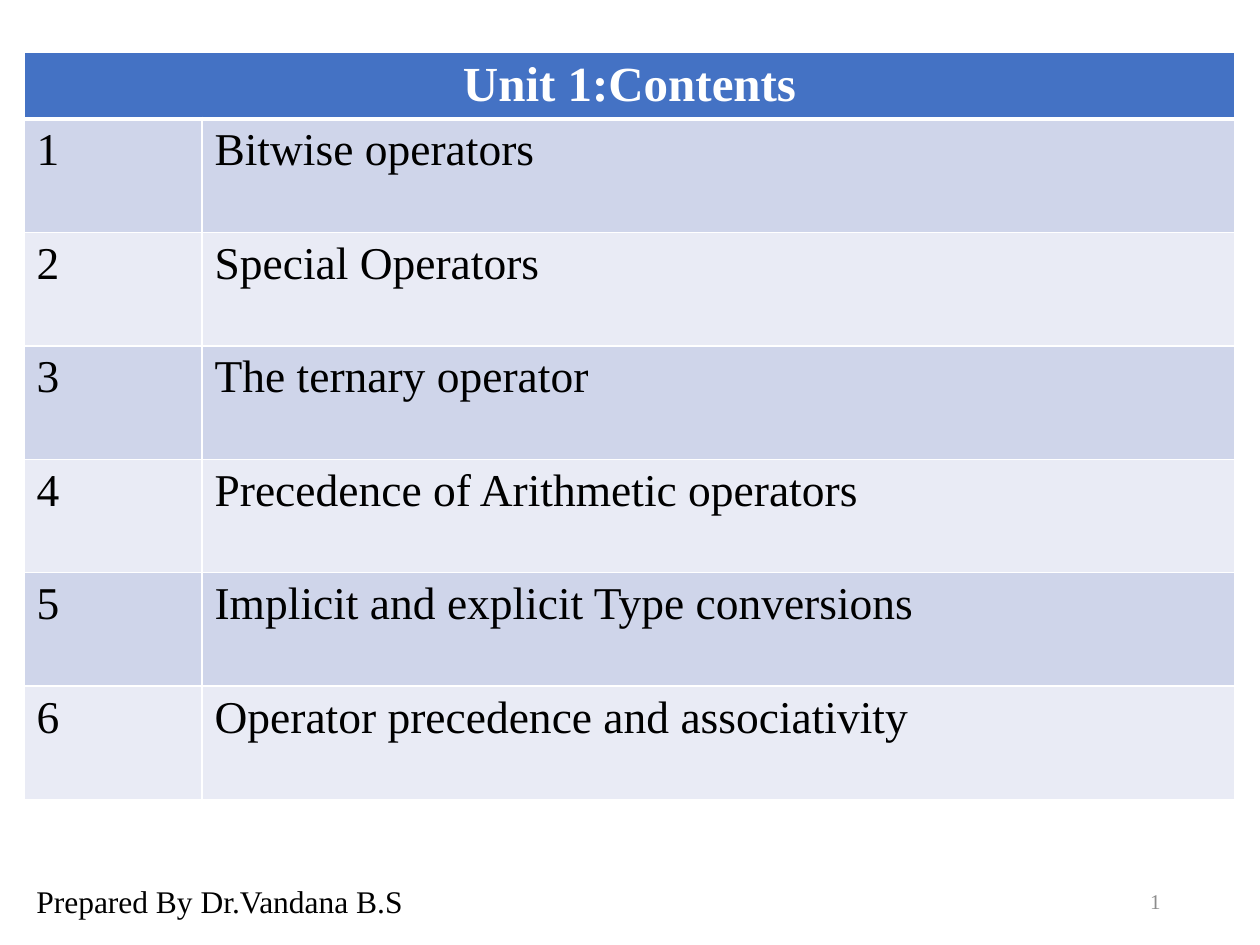
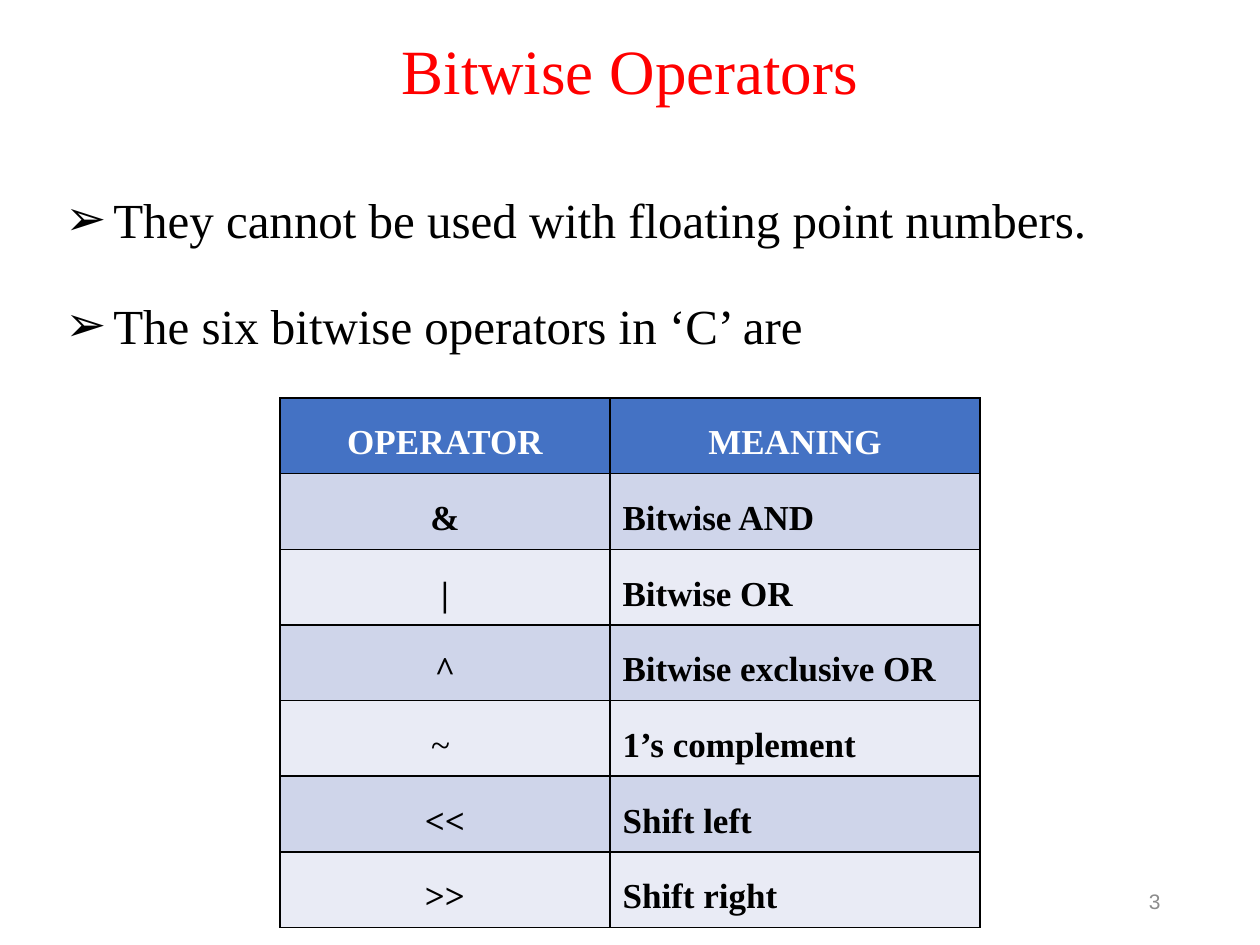
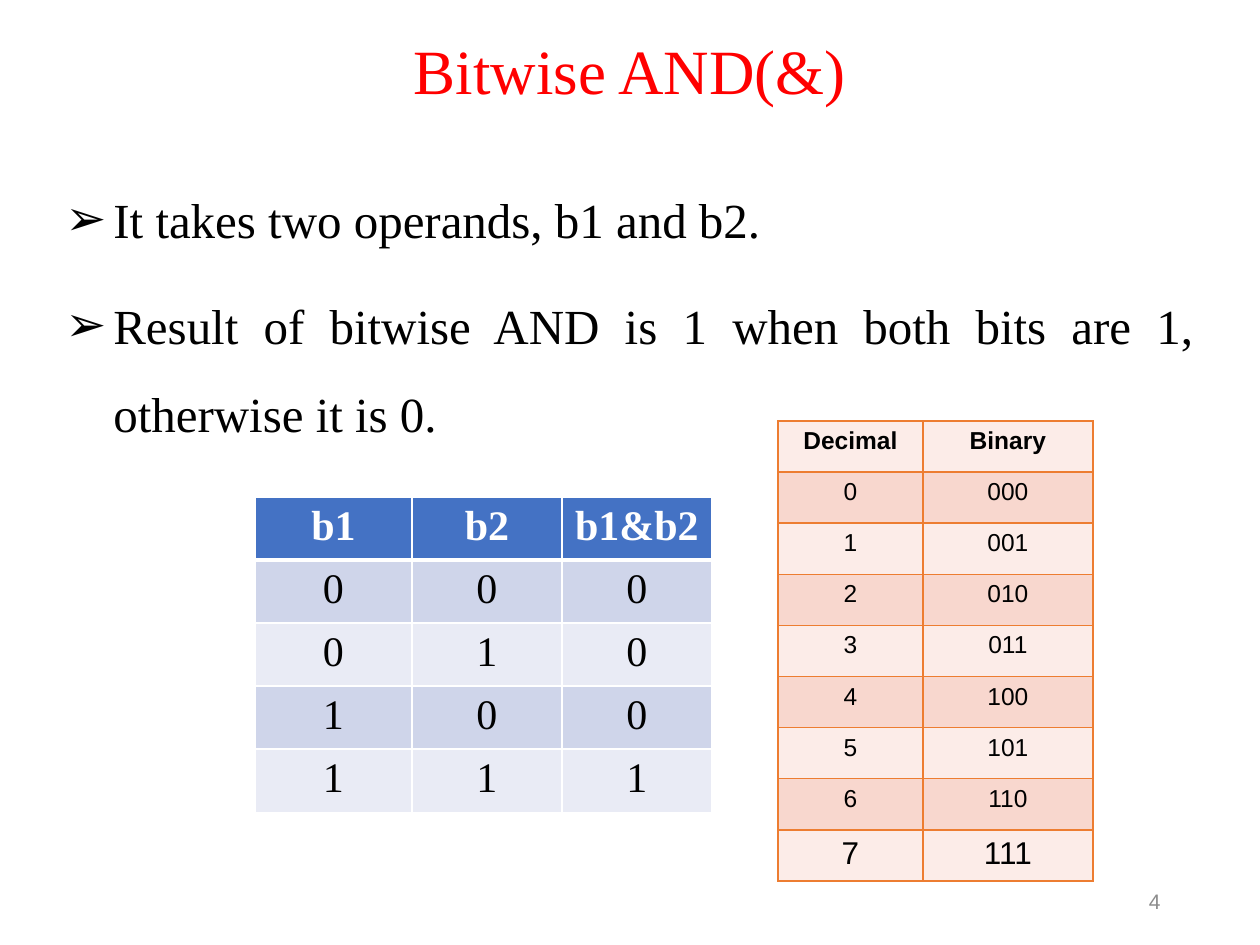
"""Build three lecture slides on bitwise operators."""
from lxml.etree import SubElement
from pptx import Presentation
from pptx.dml.color import RGBColor
from pptx.enum.text import MSO_ANCHOR, PP_ALIGN
from pptx.oxml.ns import qn
from pptx.util import Pt

PX = 914400 // 126
SERIF, SANS = "Times New Roman", "Arial"
BLACK, WHITE, RED, GREY = "000000", "FFFFFF", "FF0000", "8C8C8C"
BLUE = {"head": "4472C4", "bands": ("CFD5EA", "E9EBF5"), "ink": WHITE}
PEACH = {"head": "FCECE8", "bands": ("F8D7CE", "FCECE8"), "ink": BLACK}
ALIGN = {"l": PP_ALIGN.LEFT, "c": PP_ALIGN.CENTER,
         "r": PP_ALIGN.RIGHT, "j": PP_ALIGN.JUSTIFY}


def color(code):
    """Turn a hex string into a colour."""
    return RGBColor.from_string(code)


def write(para, text, size=18, font=SERIF, ink=BLACK, bold=False,
          align="l", space=None, before=0):
    """Put formatted text into a paragraph."""
    para.alignment = ALIGN[align]
    para.space_before = Pt(before)
    if space:
        para.line_spacing = space
    run = para.add_run()
    run.text = text
    run.font.size, run.font.name, run.font.bold = Pt(size), font, bold
    run.font.color.rgb = color(ink)


def frame(slide, left, top, width, height, anchor=MSO_ANCHOR.TOP):
    """Add a wrapping text box and return its text frame."""
    box = slide.shapes.add_textbox(left * PX, top * PX, width * PX, height * PX)
    box.text_frame.word_wrap = True
    box.text_frame.vertical_anchor = anchor
    return box.text_frame


def title(slide, text):
    """Add the red slide title."""
    area = frame(slide, 87, 16, 1086, 116, MSO_ANCHOR.MIDDLE)
    write(area.paragraphs[0], text, size=36, ink=RED, align="c", space=0.9)


def number(slide, text, font=SANS):
    """Add the page number at the lower right."""
    area = frame(slide, 890, 876, 283, 50, MSO_ANCHOR.MIDDLE)
    write(area.paragraphs[0], text, size=12, font=font, ink=GREY, align="r")


def bullets(slide, lines):
    """Add the body list with arrow bullets."""
    area = frame(slide, 53, 154, 1153, 638)
    for i, line in enumerate(lines):
        para = area.add_paragraph() if i else area.paragraphs[0]
        write(para, line, size=28, align="j", space=1.5, before=10)
        props = para._p.get_or_add_pPr()
        props.set("marL", str(48 * PX))
        props.set("indent", str(-48 * PX))
        SubElement(props, qn("a:buFont")).set("typeface", SANS)
        SubElement(props, qn("a:buChar")).set("char", "➢")


def border(cell, code, top=1, bottom=1):
    """Draw the four borders of a cell, widths in points."""
    props = cell._tc.get_or_add_tcPr()
    for side, width in zip("LRTB", (1, 1, top, bottom)):
        line = SubElement(props, qn(f"a:ln{side}"), w=str(Pt(width)))
        fill = SubElement(line, qn("a:solidFill"))
        SubElement(fill, qn("a:srgbClr"), val=code)


def grid(slide, left, top, cols, height, rows, look, line, head=None, rule=1,
         aligns="cc", bold=False, odd=None, headsize=None, **form):
    """Add a banded table; odd maps a cell position to its own format."""
    count = len(rows)
    head = head or height / count
    shape = slide.shapes.add_table(count, len(cols), left * PX, top * PX,
                                   sum(cols) * PX, height * PX)
    table = shape.table
    for col, width in zip(table.columns, cols):
        col.width = width * PX
    for r, row in enumerate(rows):
        tall = (height - head) / (count - 1) if r else head
        table.rows[r].height = round(tall * PX)
        for c in range(len(cols)):
            cell = table.cell(r, c)
            border(cell, line, top=rule if r == 1 else 1,
                   bottom=1 if r else rule)
            cell.fill.solid()
            cell.fill.fore_color.rgb = color(
                look["bands"][(r - 1) % 2] if r else look["head"])
            if c >= len(row):
                table.cell(r, 0).merge(cell)
                continue
            style = {**form, "bold": bold, "align": aligns[c]}
            if r == 0:
                style.update(bold=True, align="c", ink=look["ink"])
                style["size"] = headsize or style["size"]
            style.update((odd or {}).get((r, c), {}))
            write(cell.text_frame.paragraphs[0], row[c], **style)


def contents(slide):
    """Fill the contents slide."""
    topics = ["Bitwise operators", "Special Operators", "The ternary operator",
              "Precedence of Arithmetic operators",
              "Implicit and explicit Type conversions",
              "Operator precedence and associativity"]
    rows = [("Unit 1:Contents",)]
    rows += [(str(i), topic) for i, topic in enumerate(topics, 1)]
    grid(slide, 24, 52, (178, 1033), 748, rows, BLUE, WHITE, head=67, rule=3,
         aligns="ll", size=26, headsize=28)
    number(slide, "1", font=SERIF)
    area = frame(slide, 24, 876, 873, 50)
    write(area.paragraphs[0], "Prepared By Dr.Vandana B.S")


def symbols(slide):
    """Fill the slide that lists the operators."""
    title(slide, "Bitwise Operators")
    bullets(slide, ["They cannot be used with floating point numbers.",
                    "The six bitwise operators in ‘C’ are"])
    rows = [("OPERATOR", "MEANING"), ("&", "Bitwise AND"), ("|", "Bitwise OR"),
            ("^", "Bitwise exclusive OR"), ("~ ", "1’s complement"),
            ("<<", "Shift left"), (">>", "Shift right")]
    plain = {"bold": False}
    grid(slide, 280, 398, (330, 370), 497, rows, BLUE, BLACK, aligns="cl",
         bold=True, odd={(4, 0): plain}, size=20, space=1.5)
    number(slide, "3")


def truth(slide):
    """Fill the slide on the AND operator."""
    title(slide, "Bitwise AND(&)")
    bullets(slide, ["It takes two operands, b1 and b2.",
                    "Result of bitwise AND is 1 when both bits are 1, "
                    "otherwise it is 0."])
    codes = [("Decimal", "Binary")] + [(str(n), f"{n:03b}") for n in range(8)]
    large = {"size": 18}
    grid(slide, 778, 421, (145, 170), 460, codes, PEACH, "ED7D31",
         odd={(8, 0): large, (8, 1): large}, size=14, font=SANS)
    pairs = [(str(a), str(b), str(a & b)) for a in (0, 1) for b in (0, 1)]
    grid(slide, 255, 497, (157, 150, 150), 295, [("b1", "b2", "b1&b2")] + pairs,
         BLUE, WHITE, rule=3, aligns="ccc", size=24)
    number(slide, "4")


def main():
    """Build and save the deck."""
    deck = Presentation()
    deck.slide_width, deck.slide_height = 1260 * PX, 945 * PX
    for fill in (contents, symbols, truth):
        fill(deck.slides.add_slide(deck.slide_layouts[6]))
    deck.save("out.pptx")


if __name__ == "__main__":
    main()
